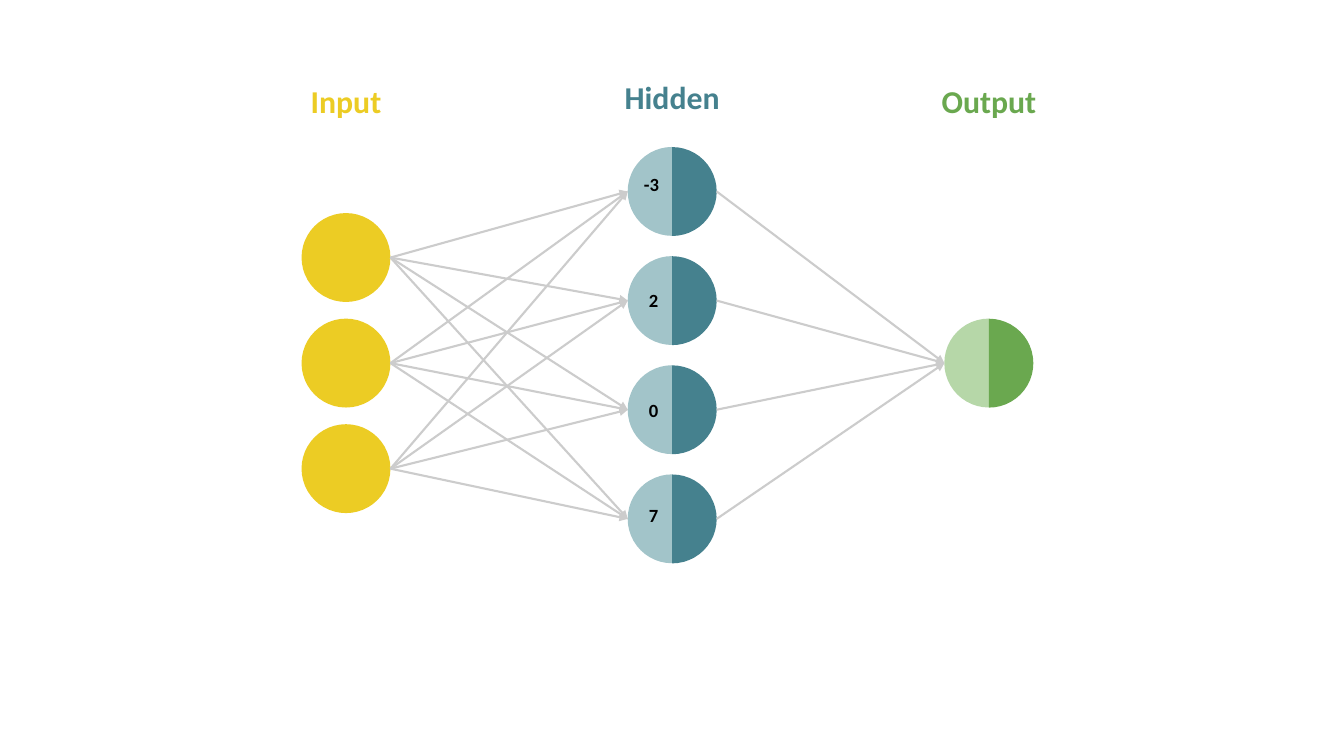
from itertools import product

from lxml import etree
from pptx import Presentation
from pptx.dml.color import RGBColor
from pptx.enum.shapes import MSO_CONNECTOR, MSO_SHAPE
from pptx.enum.text import MSO_ANCHOR, PP_ALIGN
from pptx.oxml.ns import qn
from pptx.util import Cm, Pt

CIRCLE, PIE = MSO_SHAPE.OVAL, MSO_SHAPE.PIE
STRAIGHT = MSO_CONNECTOR.STRAIGHT
CENTER, TOP = PP_ALIGN.CENTER, MSO_ANCHOR.TOP

YELLOW, GREY, BLACK = "ECCC24", "CCCCCC", "000000"
LIGHT_TEAL, TEAL = "A2C4C9", "45818E"
LIGHT_GREEN, GREEN = "B6D7A8", "6AA84F"

# Centres of the layers, in centimetres
DIAMETER = 2.24
RADIUS = DIAMETER / 2
INPUT_X, HIDDEN_X, OUTPUT_X = 8.72, 16.94, 24.92
MIDDLE_Y, HIDDEN_MIDDLE_Y = 9.15, 8.95


def color(hex_value):
    return RGBColor.from_string(hex_value)


def layer(x, middle_y, count, step):
    """Centres of a column of nodes spread evenly around middle_y."""
    return [(x, middle_y + (i - (count - 1) / 2) * step) for i in range(count)]


class NetworkSlide:
    font_name = "Calibri"
    line_width = Pt(1.5)

    def __init__(self, slide):
        self.shapes = slide.shapes

    def node(self, center, fill, kind=CIRCLE):
        x, y = center
        node = self.shapes.add_shape(
            kind, Cm(x - RADIUS), Cm(y - RADIUS), Cm(DIAMETER), Cm(DIAMETER))
        node.shadow.inherit = False
        node.fill.solid()
        node.fill.fore_color.rgb = color(fill)
        node.line.fill.background()
        return node

    def split_node(self, center, left_fill, right_fill):
        for fill, rotation in ((left_fill, 0), (right_fill, 180)):
            half = self.node(center, fill, PIE)
            half.adjustments[0] = 53.97
            half.adjustments[1] = 162
            half.rotation = rotation

    def arrow(self, source, target):
        """Arrow from the right side of one node to the left side of another."""
        arrow = self.shapes.add_connector(
            STRAIGHT, Cm(source[0] + RADIUS), Cm(source[1]),
            Cm(target[0] - RADIUS), Cm(target[1]))
        arrow.line.width = self.line_width
        arrow.line.color.rgb = color(GREY)
        etree.SubElement(arrow.line._get_or_add_ln(), qn("a:tailEnd"), type="triangle")
        etree.SubElement(arrow._element.spPr, qn("a:effectLst"))

    def text(self, words, x, top, width, height, size, hex_value, margins):
        """Bold text centred on x."""
        box = self.shapes.add_textbox(
            Cm(x - width / 2), Cm(top), Cm(width), Cm(height))
        frame = box.text_frame
        side, edge = margins
        frame_format = {
            "word_wrap": True, "vertical_anchor": TOP,
            "margin_left": Cm(side), "margin_right": Cm(side),
            "margin_top": Cm(edge), "margin_bottom": Cm(edge),
        }
        for name, value in frame_format.items():
            setattr(frame, name, value)
        paragraph = frame.paragraphs[0]
        paragraph.alignment = CENTER
        run = paragraph.add_run()
        run.text = words
        for name, value in {"name": self.font_name, "size": Pt(size), "bold": True}.items():
            setattr(run.font, name, value)
        run.font.color.rgb = color(hex_value)

    def heading(self, words, x, top, width, hex_value):
        self.text(words, x, top, width, 1.32, 22.7, hex_value, (0.33, 0.33))

    def node_value(self, words, x, top):
        self.text(words, x, top, 1.3, 0.84, 13.3, BLACK, (0.25, 0.13))


def main():
    prs = Presentation()
    prs.slide_width, prs.slide_height = Cm(33.87), Cm(19.05)
    network = NetworkSlide(prs.slides.add_slide(prs.slide_layouts[6]))

    inputs = layer(INPUT_X, MIDDLE_Y, 3, 2.66)
    hidden = layer(HIDDEN_X, HIDDEN_MIDDLE_Y, 4, 2.75)
    output = (OUTPUT_X, MIDDLE_Y)

    for center in inputs:
        network.node(center, YELLOW)
    for center in hidden:
        network.split_node(center, LIGHT_TEAL, TEAL)
    network.split_node(output, LIGHT_GREEN, GREEN)

    for source, target in [*product(inputs, hidden), *product(hidden, [output])]:
        network.arrow(source, target)

    values = [("-3", 16.42, 4.22), ("2", 16.47, 7.16), ("0", 16.47, 9.91), ("7", 16.47, 12.57)]
    for value in values:
        network.node_value(*value)

    network.heading("Input", INPUT_X, 1.73, 3.2, YELLOW)
    network.heading("Hidden", HIDDEN_X, 1.63, 3.68, TEAL)
    network.heading("Output", OUTPUT_X, 1.73, 3.68, GREEN)

    prs.save("out.pptx")


if __name__ == "__main__":
    main()
